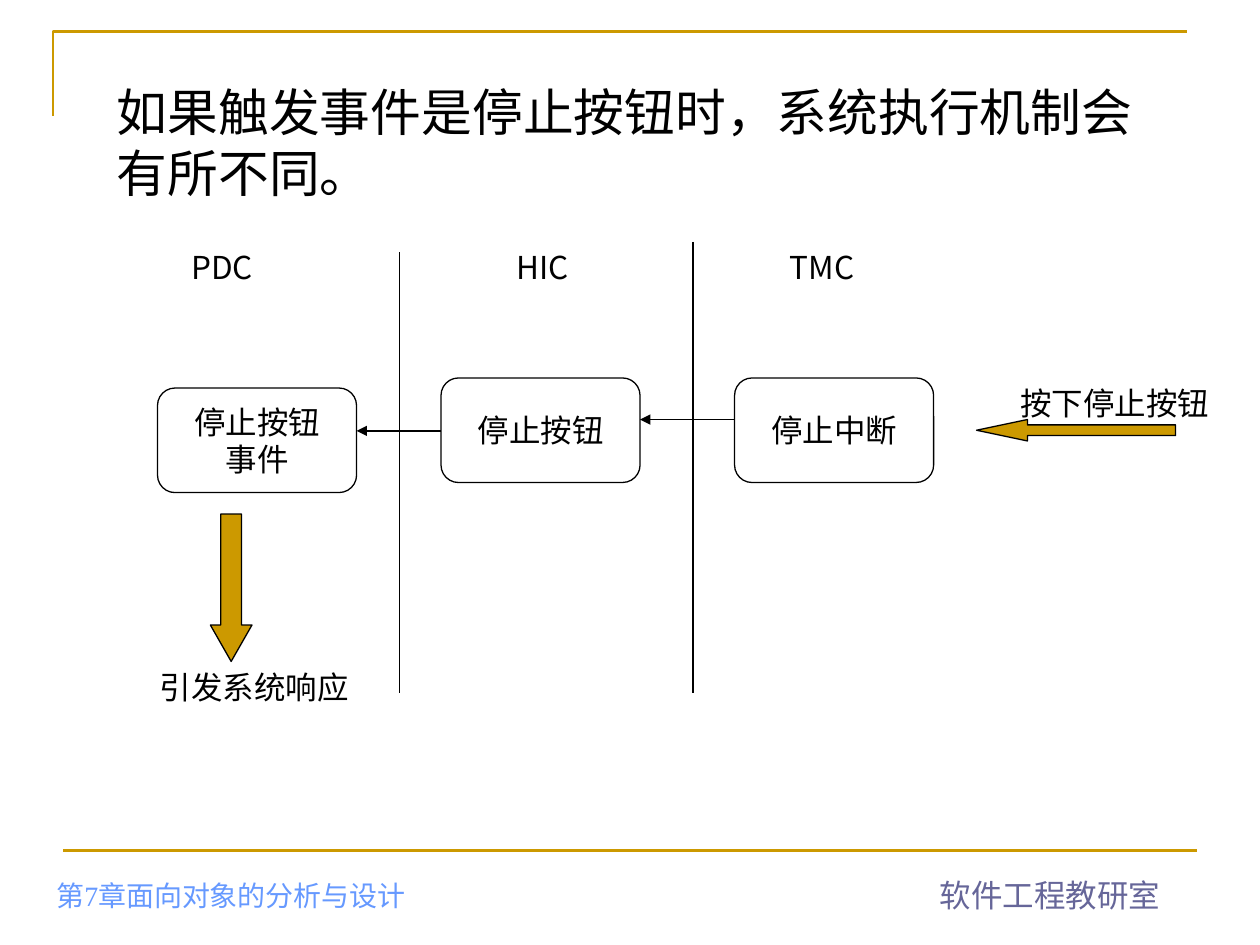
from lxml import etree
from pptx import Presentation
from pptx.dml.color import RGBColor
from pptx.enum import shapes, text
from pptx.oxml import ns
from pptx.util import Inches, Pt

GOLD = RGBColor(0xCC, 0x99, 0x00)
BLACK = RGBColor(0, 0, 0)
PURPLE = RGBColor(0x66, 0x66, 0x99)
BLUE = RGBColor(0x66, 0x99, 0xFF)
CJK = "Noto Sans CJK SC"


class Diagram:
    """Draws the slide's elements in one shared style; lengths are inches."""

    def __init__(self, slide):
        self.shapes = slide.shapes

    def set_text(self, frame, lines, size=18, color=BLACK, font=CJK,
                 align=text.PP_ALIGN.LEFT, anchor=text.MSO_ANCHOR.TOP,
                 wrap=True):
        frame.word_wrap = wrap
        frame.vertical_anchor = anchor
        frame.text = lines
        for paragraph in frame.paragraphs:
            paragraph.alignment = align
            paragraph.font.size = Pt(size)
            paragraph.font.color.rgb = color
            paragraph.font.name = font

    def label(self, words, left, top, width, height=0.4, **style):
        box = self.shapes.add_textbox(*map(Inches, (left, top, width, height)))
        self.set_text(box.text_frame, words, **style)

    def outline(self, shape, color=BLACK, width=0.75):
        shape.line.color.rgb = color
        shape.line.width = Pt(width)
        shape.shadow.inherit = False

    def block(self, kind, left, top, width, height, adjustments, fill=None):
        shape = self.shapes.add_shape(
            kind, *map(Inches, (left, top, width, height)))
        for index, value in enumerate(adjustments):
            shape.adjustments[index] = value
        if fill is None:
            shape.fill.background()
        else:
            shape.fill.solid()
            shape.fill.fore_color.rgb = fill
        self.outline(shape)
        return shape

    def step(self, words, left, top):
        box = self.block(shapes.MSO_SHAPE.ROUNDED_RECTANGLE,
                         left, top, 1.58, 0.83, [0.167])
        self.set_text(box.text_frame, words, align=text.PP_ALIGN.CENTER,
                      anchor=text.MSO_ANCHOR.MIDDLE, wrap=False)

    def line(self, x1, y1, x2, y2, color=BLACK, width=0.75, arrow=False):
        connector = self.shapes.add_connector(
            shapes.MSO_CONNECTOR.STRAIGHT, *map(Inches, (x1, y1, x2, y2)))
        connector.line.color.rgb = color
        connector.line.width = Pt(width)
        properties = connector._element.spPr
        if arrow:
            etree.SubElement(properties.find(ns.qn("a:ln")),
                             ns.qn("a:tailEnd"), type="triangle")
        etree.SubElement(properties, ns.qn("a:effectLst"))

    def corner(self, left, top, right, bottom):
        """Draw an open corner from bottom left, over the top, to the right."""
        builder = self.shapes.build_freeform(Inches(left), Inches(bottom))
        builder.add_line_segments(
            [(Inches(left), Inches(top)), (Inches(right), Inches(top))],
            close=False)
        frame = builder.convert_to_shape()
        frame.fill.background()
        self.outline(frame, GOLD, 1.5)


def main():
    deck = Presentation()
    deck.slide_width, deck.slide_height = Inches(10), Inches(7.5)
    diagram = Diagram(deck.slides.add_slide(deck.slide_layouts[6]))

    diagram.corner(0.42, 0.25, 9.42, 0.92)
    diagram.line(0.5, 6.75, 9.5, 6.75, GOLD, 1.5)
    diagram.label("软件工程教研室", 7.36, 6.9, 1.95,
                  color=PURPLE, font="Arial", wrap=False)
    diagram.label("第7章面向对象的分析与设计", 0.35, 6.98, 4.1, 0.31, size=16,
                  color=BLUE, font="Times New Roman",
                  anchor=text.MSO_ANCHOR.BOTTOM)
    diagram.label("如果触发事件是停止按钮时，系统执行机制会有所不同。",
                  0.83, 0.5, 8.5, 1.25, size=29,
                  anchor=text.MSO_ANCHOR.MIDDLE)

    for words, left, top in [("停止中断", 5.83, 3), ("停止按钮", 3.5, 3),
                             ("停止按钮\n事件", 1.25, 3.08)]:
        diagram.step(words, left, top)

    diagram.block(shapes.MSO_SHAPE.DOWN_ARROW, 1.67, 4.08, 0.33, 1.17,
                  [0.5, 0.875], GOLD)
    for words, left, top, width in [("引发系统响应", 1.17, 5.25, 2),
                                    ("PDC", 1.42, 1.92, 1.33),
                                    ("HIC", 4, 1.92, 2),
                                    ("TMC", 6.17, 1.92, 2),
                                    ("按下停止按钮", 8, 3, 1.75)]:
        diagram.label(words, left, top, width)
    diagram.block(shapes.MSO_SHAPE.LEFT_ARROW, 7.75, 3.33, 1.58, 0.17,
                  [0.5, 2.377], GOLD)

    for start, end, y in [(5.83, 5.08, 3.33), (3.5, 2.83, 3.42)]:
        diagram.line(start, y, end, y, arrow=True)
    for x, top in [(5.5, 1.92), (3.17, 2)]:
        diagram.line(x, top, x, 5.5)

    deck.save("out.pptx")


if __name__ == "__main__":
    main()
